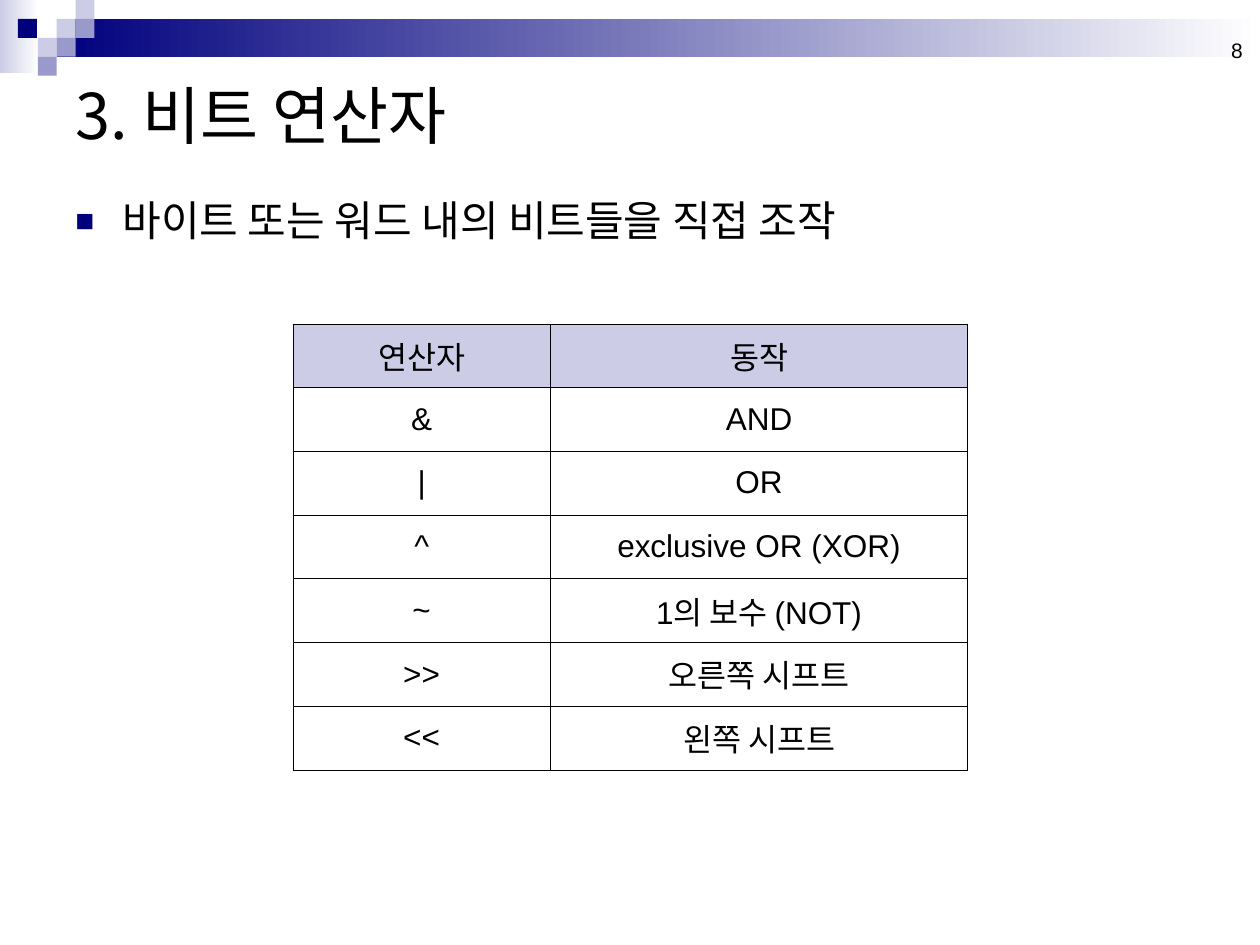
from lxml.etree import SubElement
from pptx import Presentation
from pptx.dml.color import RGBColor
from pptx.enum.shapes import MSO_SHAPE as Shape
from pptx.enum.text import MSO_ANCHOR as Anchor, MSO_AUTO_SIZE as AutoSize, PP_ALIGN as Align
from pptx.oxml.ns import qn
from pptx.util import Pt

TITLE = "3. 비트 연산자"
BULLET = "바이트 또는 워드 내의 비트들을 직접 조작"
PAGE_NUMBER = "8"
OPERATORS = [
    ("연산자", "동작"),
    ("&", "AND"),
    ("|", "OR"),
    ("^", "exclusive OR (XOR)"),
    ("~", "1의 보수 (NOT)"),
    (">>", "오른쪽 시프트"),
    ("<<", "왼쪽 시프트"),
]
NAVY, LAVENDER, LILAC = "00007D", "CCCCE6", "9999CC"
BLACK, WHITE = "000000", "FFFFFF"
KOREAN_FONT = "Noto Sans CJK KR"
SQUARE = 10.8
GRADIENT_BARS = [
    ((0, 0, 22.3, 41.8), LAVENDER),
    ((32.4, SQUARE, 687.6, 21.6), NAVY),
]
SQUARES = [
    (3, 1, LAVENDER), (4, 0, LAVENDER), (4, 1, LILAC), (2, 2, LAVENDER),
    (0.95, 1, NAVY), (3, 2, LILAC), (2, 3, LILAC),
]
COLUMN_WIDTHS = (147.3, 238.3)
ROW_HEIGHT = 36.4


def rgb(color):
    return RGBColor.from_string(color)


def points(*values):
    return [Pt(value) for value in values]


def write(frame, text, size, font="Arial", align=Align.LEFT, bullet=None):
    paragraph = frame.paragraphs[0]
    paragraph.alignment = align
    if bullet:
        paragraph.line_spacing = 0.9
        properties = paragraph._p.get_or_add_pPr()
        properties.set("marL", str(Pt(27)))
        properties.set("indent", str(Pt(-27)))
        color = SubElement(properties, qn("a:buClr"))
        SubElement(color, qn("a:srgbClr"), val=NAVY)
        SubElement(properties, qn("a:buSzPct"), val="75000")
        SubElement(properties, qn("a:buFont"), typeface="Arial")
        SubElement(properties, qn("a:buChar"), char=bullet)
    run = paragraph.add_run()
    run.text = text
    run.font.size = Pt(size)
    run.font.color.rgb = rgb(BLACK)
    run.font.name = font
    SubElement(run._r.get_or_add_rPr(), qn("a:ea"), typeface=KOREAN_FONT)


def add_rectangle(slide, box, color, fade=False):
    shape = slide.shapes.add_shape(Shape.RECTANGLE, *points(*box))
    shape.shadow.inherit = False
    shape.line.fill.background()
    if fade:
        shape.fill.gradient()
        shape.fill.gradient_angle = 0
        for stop, stop_color in zip(shape.fill.gradient_stops, (color, WHITE)):
            stop.color.rgb = rgb(stop_color)
    else:
        shape.fill.solid()
        shape.fill.fore_color.rgb = rgb(color)


def add_text(slide, box, text, size, anchor=Anchor.TOP, **text_format):
    frame = slide.shapes.add_textbox(*points(*box)).text_frame
    frame.word_wrap = True
    frame.vertical_anchor = anchor
    write(frame, text, size, **text_format)


def format_cell(cell, text, color):
    properties = cell._tc.get_or_add_tcPr()
    for side in ("lnL", "lnR", "lnT", "lnB"):
        border = SubElement(properties, qn("a:" + side), w=str(Pt(0.06)))
        fill = SubElement(border, qn("a:solidFill"))
        SubElement(fill, qn("a:srgbClr"), val=BLACK)
    if color:
        cell.fill.solid()
        cell.fill.fore_color.rgb = rgb(color)
    else:
        cell.fill.background()
    cell.vertical_anchor = Anchor.MIDDLE
    write(cell.text_frame, text, 18, align=Align.CENTER)


def add_operator_table(slide, left, top):
    size = (sum(COLUMN_WIDTHS), ROW_HEIGHT * len(OPERATORS))
    table = slide.shapes.add_table(
        len(OPERATORS), len(COLUMN_WIDTHS), *points(left, top, *size)).table
    table.first_row = table.horz_banding = False
    for column, width in zip(table.columns, COLUMN_WIDTHS):
        column.width = Pt(width)
    for row_index, texts in enumerate(OPERATORS):
        table.rows[row_index].height = Pt(ROW_HEIGHT)
        for column_index, text in enumerate(texts):
            color = LAVENDER if row_index == 0 else None
            format_cell(table.cell(row_index, column_index), text, color)


def main():
    presentation = Presentation()
    presentation.slide_width, presentation.slide_height = points(720, 540)
    slide = presentation.slides.add_slide(presentation.slide_layouts[5])

    for box, color in GRADIENT_BARS:
        add_rectangle(slide, box, color, fade=True)
    for column, row, color in SQUARES:
        add_rectangle(slide, (column * SQUARE, row * SQUARE, SQUARE, SQUARE), color)

    title = slide.shapes.title
    title.left, title.top, title.width, title.height = points(36, 36, 648, 58.3)
    title.text_frame.auto_size = AutoSize.NONE
    title.text_frame.vertical_anchor = Anchor.MIDDLE
    write(title.text_frame, TITLE, 36, font=KOREAN_FONT)

    add_text(slide, (549.4, 3.6, 167.8, 36), PAGE_NUMBER, 12,
             anchor=Anchor.BOTTOM, align=Align.RIGHT)
    add_text(slide, (36, 110.9, 648, 33.8), BULLET, 24, bullet="■")
    add_operator_table(slide, 167.3, 185)
    presentation.save("out.pptx")


if __name__ == "__main__":
    main()
